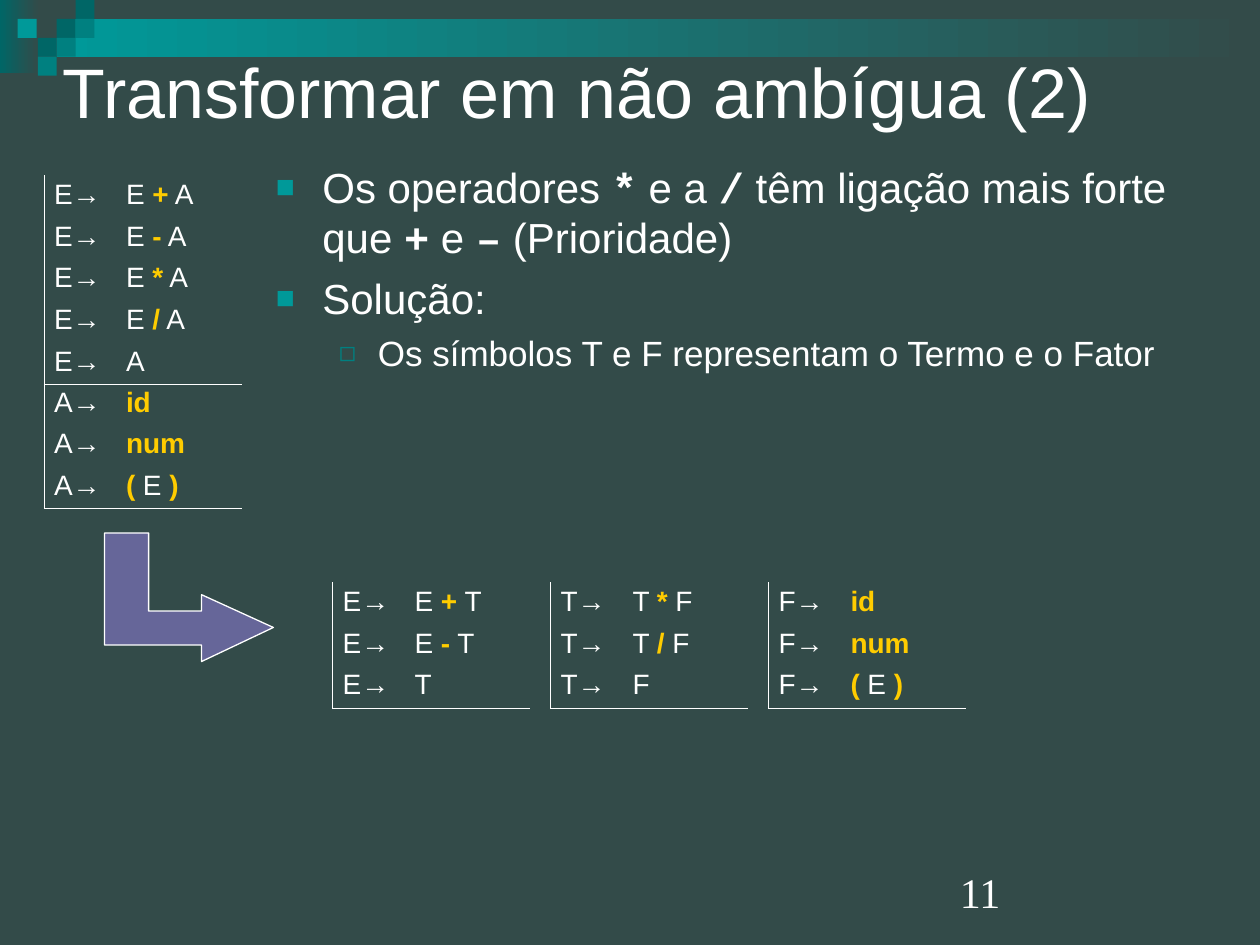
from dataclasses import dataclass

from lxml.etree import SubElement
from pptx import Presentation
from pptx.dml.color import RGBColor
from pptx.enum.shapes import MSO_SHAPE
from pptx.enum.text import MSO_ANCHOR
from pptx.oxml.ns import qn
from pptx.util import Inches, Pt


@dataclass(frozen=True)
class Theme:
    back: str = "334B49"
    deep: str = "006666"
    teal: str = "008080"
    light: str = "009999"
    text: str = "FFFFFF"
    gold: str = "FFCC00"
    arrow: str = "666699"
    sans: str = "Arial"
    mono: str = "Courier New"
    serif: str = "Times New Roman"
    title: int = 40
    body: int = 24
    sub: int = 20
    rule: int = 16


THEME = Theme()
TILE = 0.15
TILES = [
    (0.45, 0.15, THEME.deep),
    (0.6, 0, THEME.deep),
    (0.6, 0.15, THEME.teal),
    (0.3, 0.3, THEME.deep),
    (0.14, 0.15, THEME.light),
    (0.45, 0.3, THEME.teal),
    (0.3, 0.45, THEME.teal),
]
ITEMS = [
    (0, "Os operadores |*| e a |/| têm ligação mais forte que |+| e |–| (Prioridade)"),
    (0, "Solução:"),
    (1, "Os símbolos T e F representam o Termo e o Fator"),
]
LEVELS = [
    dict(size=THEME.body, left=0.37, hang=0.37, gap=6,
         sign="■", color=THEME.light, scale=75),
    dict(size=THEME.sub, left=0.81, hang=0.31, gap=5,
         sign="◻", color=THEME.teal, scale=80),
]
ATOMS = ["|id|", "|num|", "|(| E |)|"]
RULES = [
    (2.64, 4.62, "E", ["E |+| T", "E |-| T", "T"]),
    (6.1, 4.62, "F", ATOMS),
    (4.37, 4.62, "T", ["T |*| F", "T |/| F", "F"]),
    (0.35, 1.39, "E", ["E |+| A", "E |-| A", "E |*| A", "E |/| A", "A"]),
    (0.35, 3.04, "A", ATOMS),
]
COLS = (0.55, 1.02)
ROW = 0.316
EDGE = Pt(0.23)
PLAIN = "{2D5ABB26-0587-4C30-8999-92F81FD0307C}"
BEND = [(1.18, 4.23), (1.18, 4.85), (1.6, 4.85), (1.6, 4.72), (2.17, 4.98),
        (1.6, 5.25), (1.6, 5.12), (0.83, 5.12), (0.83, 4.23)]


def apply(thing, values):
    for name, value in values.items():
        setattr(thing, name, value)


def tint(fill, color):
    fill.solid()
    fill.fore_color.rgb = RGBColor.from_string(color)


def write(para, text, size, face=THEME.sans, strong=None):
    plain = dict(name=face, color=THEME.text, bold=False)
    for i, part in enumerate(text.split("|")):
        if not part:
            continue
        look = {**plain, **(strong or {})} if i % 2 else plain
        run = para.add_run()
        run.text = part
        apply(run.font, dict(name=look["name"], bold=look["bold"], size=Pt(size)))
        run.font.color.rgb = RGBColor.from_string(look["color"])


def add_box(slide, place, **values):
    frame = slide.shapes.add_textbox(*map(Inches, place)).text_frame
    apply(frame, dict(word_wrap=True, **values))
    return frame


def add_block(slide, place, color, fade=False):
    block = slide.shapes.add_shape(MSO_SHAPE.RECTANGLE, *map(Inches, place))
    block.shadow.inherit = False
    block.line.fill.background()
    if not fade:
        tint(block.fill, color)
        return
    block.fill.gradient()
    block.fill.gradient_angle = 180
    for stop, tone, spot in zip(block.fill.gradient_stops, (THEME.back, color), (0, 1)):
        stop.color.rgb = RGBColor.from_string(tone)
        stop.position = spot


def add_mark(para, level):
    props = para._p.get_or_add_pPr()
    props.set("marL", str(Inches(level["left"])))
    props.set("indent", str(-Inches(level["hang"])))
    tone = SubElement(props, qn("a:buClr"))
    SubElement(tone, qn("a:srgbClr"), val=level["color"])
    SubElement(props, qn("a:buSzPct"), val=str(level["scale"] * 1000))
    SubElement(props, qn("a:buFont"), typeface=THEME.sans)
    SubElement(props, qn("a:buChar"), char=level["sign"])


def add_list(slide):
    frame = add_box(slide, (2.09, 1.23, 7.49, 3.7))
    for i, (depth, text) in enumerate(ITEMS):
        para = frame.add_paragraph() if i else frame.paragraphs[0]
        level = LEVELS[depth]
        apply(para, dict(level=depth, space_before=Pt(level["gap"])))
        add_mark(para, level)
        write(para, text, level["size"], strong=dict(name=THEME.mono, bold=True))


def set_edges(cell, shown):
    props = cell._tc.get_or_add_tcPr()
    for side in "LRTB":
        line = SubElement(props, qn("a:ln" + side), w=str(EDGE))
        if side in shown:
            fill = SubElement(line, qn("a:solidFill"))
            SubElement(fill, qn("a:srgbClr"), val=THEME.text)
        else:
            SubElement(line, qn("a:noFill"))


def add_rules(slide, left, top, head, forms):
    place = (left, top, sum(COLS), ROW * len(forms))
    table = slide.shapes.add_table(len(forms), 2, *map(Inches, place)).table
    apply(table, dict(first_row=False, horz_banding=False))
    table._tbl.tblPr.find(qn("a:tableStyleId")).text = PLAIN
    for col, width in zip(table.columns, COLS):
        col.width = Inches(width)
    for r, form in enumerate(forms):
        table.rows[r].height = Inches(ROW)
        base = "B" if r == len(forms) - 1 else ""
        for c, text in enumerate((head + "→", form)):
            cell = table.cell(r, c)
            set_edges(cell, base if c else base + "L")
            cell.fill.background()
            apply(cell, dict(vertical_anchor=MSO_ANCHOR.MIDDLE,
                             margin_left=Inches(0.1 if c else 0.08)))
            para = cell.text_frame.paragraphs[0]
            apply(para, dict(line_spacing=0.87, space_before=Pt(4)))
            write(para, text, THEME.rule, strong=dict(color=THEME.gold, bold=True))


def add_arrow(slide):
    start, *rest = [(Inches(x), Inches(y)) for x, y in BEND]
    path = slide.shapes.build_freeform(*start)
    path.add_line_segments(rest, close=True)
    arrow = path.convert_to_shape()
    arrow.shadow.inherit = False
    tint(arrow.fill, THEME.arrow)
    tint(arrow.line.fill, THEME.text)
    arrow.line.width = Pt(0.75)


def main():
    deck = Presentation()
    apply(deck, dict(slide_width=Inches(10), slide_height=Inches(7.5)))
    slide = deck.slides.add_slide(deck.slide_layouts[6])
    tint(slide.background.fill, THEME.back)
    add_block(slide, (0, 0, 0.31, 0.58), THEME.deep, fade=True)
    add_block(slide, (0.45, 0.15, 9.54, 0.3), THEME.light, fade=True)
    for left, top, color in TILES:
        add_block(slide, (left, top, TILE, TILE), color)
    title = add_box(slide, (0.5, 0.28, 9, 0.87), margin_left=0, margin_right=0,
                    vertical_anchor=MSO_ANCHOR.MIDDLE)
    write(title.paragraphs[0], "Transformar em não ambígua (2)", THEME.title)
    add_list(slide)
    for group in RULES:
        add_rules(slide, *group)
    add_arrow(slide)
    page = add_box(slide, (7.52, 6.83, 1.98, 0.5), vertical_anchor=MSO_ANCHOR.BOTTOM)
    write(page.paragraphs[0], "11", THEME.body, THEME.serif)
    deck.save("out.pptx")


if __name__ == "__main__":
    main()
